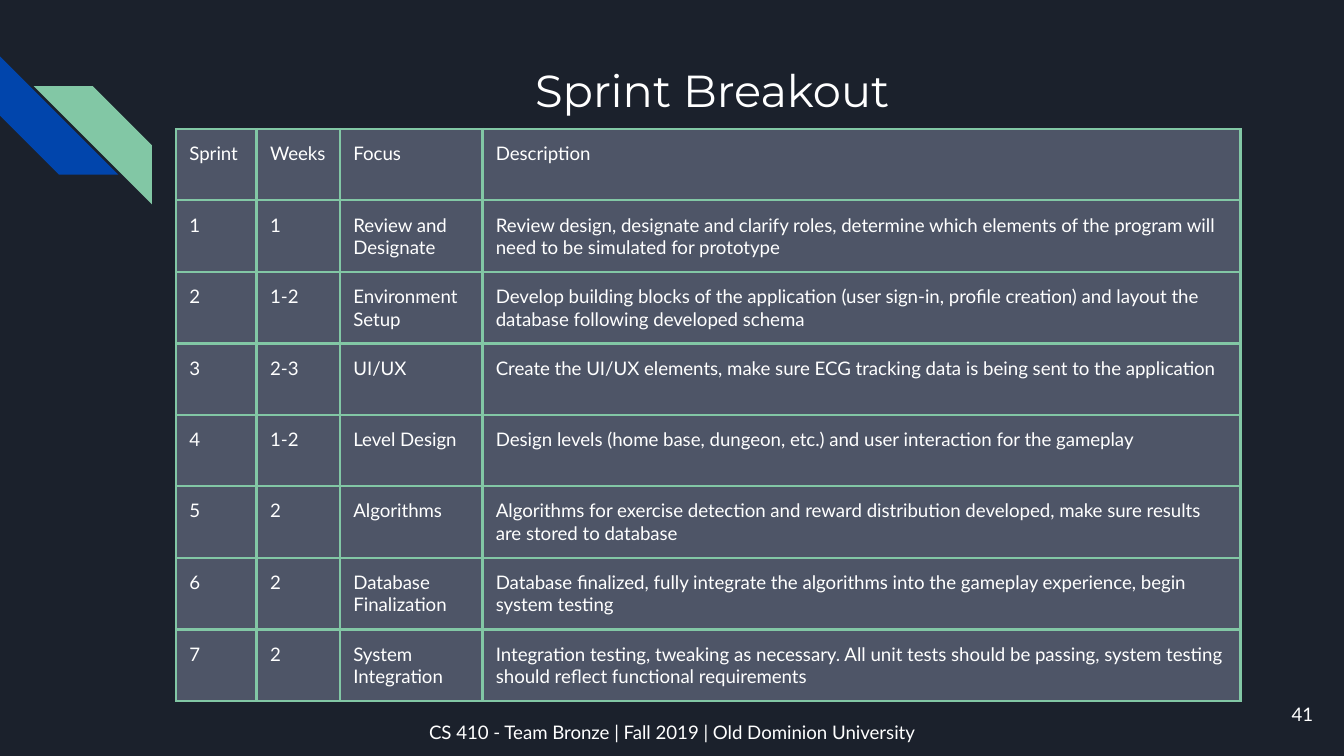
from typing import NamedTuple

from lxml import etree
from pptx import Presentation
from pptx import util as u
from pptx.dml.color import RGBColor
from pptx.enum import shapes, text
from pptx.oxml.ns import qn

NIGHT = RGBColor(0x1B, 0x21, 0x2C)
BLUE = RGBColor(0x01, 0x45, 0xAC)
MINT = RGBColor(0x82, 0xC7, 0xA5)
SLATE = RGBColor(0x4E, 0x55, 0x67)
WHITE = RGBColor(0xFF, 0xFF, 0xFF)

WIDTH = u.Inches(10)
HEIGHT = WIDTH * 9 // 16
INSET = u.Inches(0.1)
COLUMN_WIDTHS = (0.6, 0.62, 1.06, 5.64)
ROW_HEIGHT = u.Inches(0.53)
BORDER_WIDTH = u.Pt(1.5)


class Area(NamedTuple):
    left: float
    top: float
    width: float
    height: float

    def emu(self) -> tuple:
        return tuple(u.Inches(length) for length in self)


class Stripe(NamedTuple):
    area: Area
    rotation: int
    color: RGBColor


class Sprint(NamedTuple):
    number: str
    weeks: str
    focus: str
    description: str


STRIPES = (
    Stripe(Area(0, 0.42, 0.88, 0.88), 270, BLUE),
    Stripe(Area(0.25, 0.64, 0.88, 0.88), 90, MINT),
)

SPRINTS = (
    Sprint("Sprint", "Weeks", "Focus", "Description"),
    Sprint("1", "1", "Review and Designate",
           "Review design, designate and clarify roles, determine which elements "
           "of the program will need to be simulated for prototype"),
    Sprint("2", "1-2", "Environment Setup",
           "Develop building blocks of the application (user sign-in, profile "
           "creation) and layout the database following developed schema"),
    Sprint("3", "2-3", "UI/UX",
           "Create the UI/UX elements, make sure ECG tracking data is being sent "
           "to the application"),
    Sprint("4", "1-2", "Level Design",
           "Design levels (home base, dungeon, etc.) and user interaction for the "
           "gameplay"),
    Sprint("5", "2", "Algorithms",
           "Algorithms for exercise detection and reward distribution developed, "
           "make sure results are stored to database"),
    Sprint("6", "2", "Database Finalization",
           "Database finalized, fully integrate the algorithms into the gameplay "
           "experience, begin system testing"),
    Sprint("7", "2", "System Integration",
           "Integration testing, tweaking as necessary. All unit tests should be "
           "passing, system testing should reflect functional requirements"),
)


def write(frame, words: str, align=text.PP_ALIGN.LEFT, size: int = 10,
          font: str = "Lato") -> None:
    paragraph = frame.paragraphs[0]
    paragraph.alignment = align
    run = paragraph.add_run()
    run.text = words
    run.font.size = u.Pt(size)
    run.font.name = font
    run.font.color.rgb = WHITE


def set_insets(frame) -> None:
    frame.margin_left = frame.margin_right = INSET
    frame.margin_top = frame.margin_bottom = INSET
    frame.vertical_anchor = text.MSO_ANCHOR.MIDDLE
    frame.word_wrap = True
    frame.auto_size = text.MSO_AUTO_SIZE.NONE


def draw_stripe(slide, stripe: Stripe) -> None:
    band = slide.shapes.add_shape(
        shapes.MSO_SHAPE.DIAGONAL_STRIPE, *stripe.area.emu())
    band.rotation = stripe.rotation
    band.shadow.inherit = False
    band.fill.solid()
    band.fill.fore_color.rgb = stripe.color
    band.line.fill.background()


def draw_title(slide, words: str, area: Area) -> None:
    title = slide.shapes.title
    title.left, title.top, title.width, title.height = area.emu()
    set_insets(title.text_frame)
    write(title.text_frame, words, text.PP_ALIGN.CENTER, 24, "Montserrat")


def draw_caption(slide, words: str, area: Area, align) -> None:
    frame = slide.shapes.add_textbox(*area.emu()).text_frame
    set_insets(frame)
    write(frame, words, align)


def add_borders(cell) -> None:
    properties = cell._tc.get_or_add_tcPr()
    for side in ("a:lnL", "a:lnR", "a:lnT", "a:lnB"):
        line = etree.SubElement(properties, qn(side), w=str(BORDER_WIDTH))
        fill = etree.SubElement(line, qn("a:solidFill"))
        etree.SubElement(fill, qn("a:srgbClr"), val=str(MINT))


def draw_schedule(slide, left: float, top: float) -> None:
    schedule = slide.shapes.add_table(
        len(SPRINTS), len(COLUMN_WIDTHS), u.Inches(left), u.Inches(top),
        u.Inches(sum(COLUMN_WIDTHS)), ROW_HEIGHT * len(SPRINTS)).table
    for column, width in zip(schedule.columns, COLUMN_WIDTHS):
        column.width = u.Inches(width)
    for row, sprint in zip(schedule.rows, SPRINTS):
        row.height = ROW_HEIGHT
        for cell, words in zip(row.cells, sprint):
            cell.margin_left = cell.margin_right = INSET
            cell.margin_top = cell.margin_bottom = INSET
            add_borders(cell)
            cell.fill.solid()
            cell.fill.fore_color.rgb = SLATE
            write(cell.text_frame, words)


def main() -> None:
    deck = Presentation()
    deck.slide_width, deck.slide_height = WIDTH, HEIGHT
    slide = deck.slides.add_slide(deck.slide_layouts[5])
    slide.background.fill.solid()
    slide.background.fill.fore_color.rgb = NIGHT

    for stripe in STRIPES:
        draw_stripe(slide, stripe)
    draw_caption(slide, "41", Area(9.27, 5.1, 0.6, 0.43), text.PP_ALIGN.RIGHT)
    draw_title(slide, "Sprint Breakout", Area(1.45, 0.17, 7.7, 1))
    draw_schedule(slide, 1.31, 0.96)
    draw_caption(slide, "CS 410 - Team Bronze | Fall 2019 | Old Dominion University",
                 Area(0.37, 5.28, 9.26, 0.34), text.PP_ALIGN.CENTER)
    deck.save("out.pptx")


if __name__ == "__main__":
    main()
